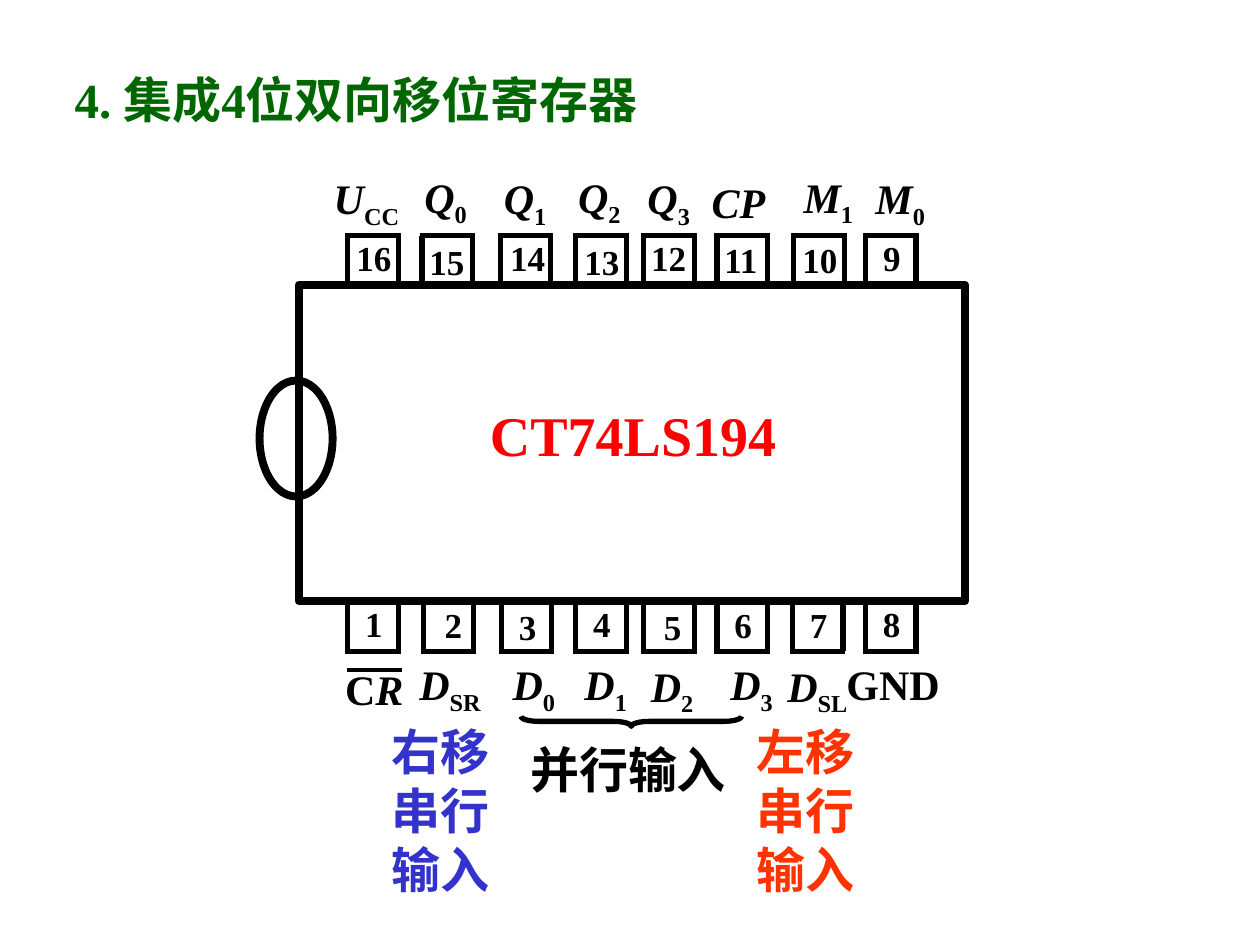
from pptx import Presentation
from pptx.dml.color import RGBColor
from pptx.enum.shapes import MSO_CONNECTOR, MSO_SHAPE
from pptx.enum.text import MSO_ANCHOR, MSO_AUTO_SIZE, PP_ALIGN
from pptx.oxml.ns import qn
from pptx.util import Inches, Pt
from lxml import etree

STRAIGHT = MSO_CONNECTOR.STRAIGHT
RECTANGLE, OVAL, BRACE = MSO_SHAPE.RECTANGLE, MSO_SHAPE.OVAL, MSO_SHAPE.LEFT_BRACE
LEFT, CENTER = PP_ALIGN.LEFT, PP_ALIGN.CENTER
TOP, MIDDLE = MSO_ANCHOR.TOP, MSO_ANCHOR.MIDDLE
FIT_TEXT = MSO_AUTO_SIZE.SHAPE_TO_FIT_TEXT

FONT = "Times New Roman"
BLACK, RED, GREEN = "000000", "FF0000", "006600"
BLUE, ORANGE = "3333CC", "FF3300"
PIN_WIDTH, PIN_OVERHANG = 0.4, 0.02
TOP_ROW = {"edge": 2.26, "cap": 1.87, "number_width": 0.62}
BOTTOM_ROW = {"edge": 4.77, "cap": 5.17, "number_width": 0.44}

# number, pin left, number left, number top
TOP_PINS = [
    ("16", 2.76, 2.73, 1.83), ("15", 3.35, 3.31, 1.86),
    ("14", 3.97, 3.95, 1.83), ("13", 4.57, 4.54, 1.86),
    ("12", 5.11, 5.07, 1.83), ("11", 5.69, 5.65, 1.84),
    ("10", 6.3, 6.27, 1.84), ("9", 6.87, 6.91, 1.83),
]
BOTTOM_PINS = [
    ("1", 2.76, 2.8, 4.73), ("2", 3.36, 3.43, 4.74),
    ("3", 3.98, 4.02, 4.76), ("4", 4.57, 4.61, 4.73),
    ("5", 5.11, 5.17, 4.76), ("6", 5.69, 5.73, 4.74),
    ("7", 6.29, 6.33, 4.74), ("8", 6.87, 6.91, 4.73),
]
# upright, italic, subscript, left, top, width, alignment
SIGNALS = [
    ("", "U", "CC", 2.55, 1.32, 1.29, LEFT),
    ("", "Q", "0", 3.27, 1.31, 0.79, LEFT),
    ("", "Q", "1", 3.9, 1.32, 0.79, LEFT),
    ("", "Q", "2", 4.49, 1.31, 0.79, LEFT),
    ("", "Q", "3", 5.04, 1.32, 0.79, LEFT),
    ("", "CP", "", 5.55, 1.35, 0.71, LEFT),
    ("", "M", "1", 6.28, 1.31, 0.66, LEFT),
    ("", "M", "0", 6.85, 1.32, 0.66, LEFT),
    ("C", "R", "", 2.64, 5.22, 0.87, LEFT),
    ("", "D", "SR", 3.23, 5.18, 1.28, LEFT),
    ("", "D", "0", 3.97, 5.18, 1.18, LEFT),
    ("", "D", "1", 4.54, 5.18, 0.69, LEFT),
    ("", "D", "2", 4.98, 5.19, 0.71, CENTER),
    ("", "D", "3", 5.62, 5.18, 0.69, CENTER),
    ("", "D", "SL", 6.15, 5.19, 0.83, LEFT),
    ("GND", "", "", 6.62, 5.18, 1.14, LEFT),
]


def color(value):
    return RGBColor.from_string(value)


def add_span(para, text, size=24, fill=BLACK, italic=False, subscript=False):
    span = para.add_run()
    span.text = text
    font = span.font
    font.name, font.size = FONT, Pt(size)
    font.bold, font.italic = True, italic
    font.color.rgb = color(fill)
    if subscript:
        font._element.set("baseline", "-25000")


def add_para(page, left, top, width, height, align=LEFT, anchor=TOP):
    box = page.shapes.add_textbox(Inches(left), Inches(top), Inches(width), Inches(height))
    frame = box.text_frame
    frame.word_wrap = True
    frame.auto_size = FIT_TEXT
    frame.vertical_anchor = anchor
    para = frame.paragraphs[0]
    para.alignment = align
    return para


def add_text(page, text, left, top, width, height, align=LEFT, anchor=TOP, **style):
    add_span(add_para(page, left, top, width, height, align, anchor), text, **style)


def add_signal(page, upright, italic, subscript, left, top, width, align):
    para = add_para(page, left, top, width, 0.5, align)
    if upright:
        add_span(para, upright)
    if italic:
        add_span(para, italic, italic=True)
    if subscript:
        add_span(para, subscript, subscript=True)


def add_line(page, x1, y1, x2, y2, weight=3):
    line = page.shapes.add_connector(STRAIGHT, Inches(x1), Inches(y1), Inches(x2), Inches(y2))
    line.line.color.rgb = color(BLACK)
    line.line.width = Pt(weight)
    etree.SubElement(line._element.spPr, qn("a:effectLst"))


def add_outline(page, kind, left, top, width, height, weight):
    shape = page.shapes.add_shape(kind, Inches(left), Inches(top), Inches(width), Inches(height))
    shape.shadow.inherit = False
    shape.fill.background()
    shape.line.color.rgb = color(BLACK)
    shape.line.width = Pt(weight)
    return shape


def add_pin(page, number, left, number_left, number_top, edge, cap, number_width):
    right = left + PIN_WIDTH
    for x in (left, right):
        add_line(page, x, cap, x, edge)
    add_line(page, left - PIN_OVERHANG, cap, right + PIN_OVERHANG, cap)
    add_text(page, number, number_left, number_top, number_width, 0.43, size=20)


def main():
    deck = Presentation()
    deck.slide_width, deck.slide_height = Inches(10), Inches(7.5)
    page = deck.slides.add_slide(deck.slide_layouts[6])

    add_text(page, "4. 集成4位双向移位寄存器", 0.27, 0.5, 5.11, 0.57,
             align=CENTER, anchor=MIDDLE, size=28, fill=GREEN)

    add_outline(page, RECTANGLE, 2.37, 2.26, 5.29, 2.51, 4.5)
    add_outline(page, OVAL, 2.06, 3.02, 0.58, 0.92, 4.5)
    add_text(page, "CT74LS194", 3.79, 3.13, 3.1, 0.63, size=32, fill=RED)

    for pins, row in ((TOP_PINS, TOP_ROW), (BOTTOM_PINS, BOTTOM_ROW)):
        for pin in pins:
            add_pin(page, *pin, **row)
    for signal in SIGNALS:
        add_signal(page, *signal)
    add_line(page, 2.75, 5.32, 3.19, 5.32, weight=2.25)

    brace = add_outline(page, BRACE, 4.97, 4.85, 0.08, 1.75, 3)
    brace.rotation = 270
    brace.adjustments[0] = 1.75
    add_text(page, "并行输入", 4.11, 5.82, 1.83, 0.57, size=28)
    add_text(page, "右移串行输入", 3.01, 5.68, 1.1, 1.5, size=28, fill=BLUE)
    add_text(page, "左移串行输入", 5.91, 5.68, 1.1, 1.5, size=28, fill=ORANGE)

    deck.save("out.pptx")


if __name__ == "__main__":
    main()
